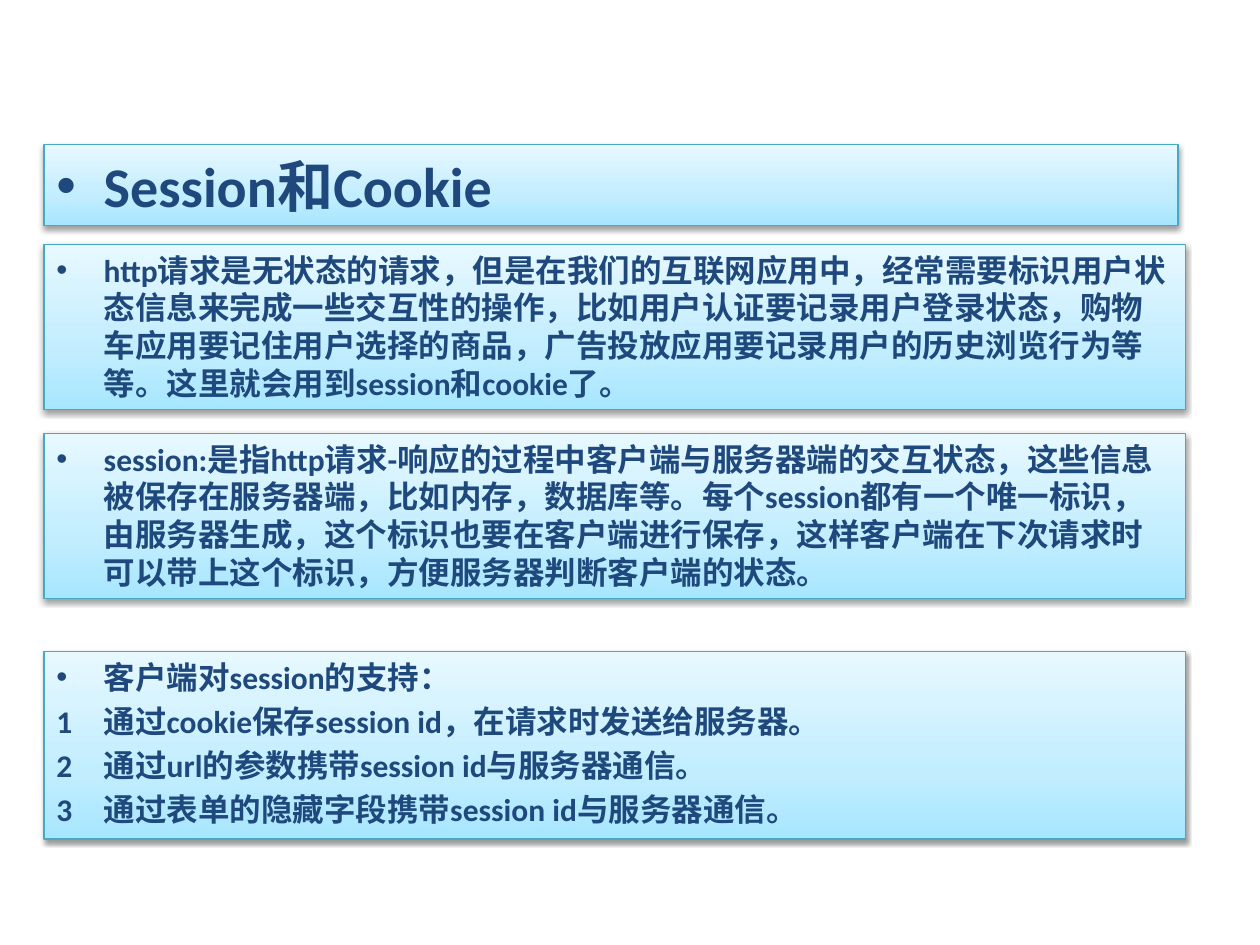
from dataclasses import dataclass

from pptx import Presentation
from pptx.dml.color import RGBColor
from pptx.enum.shapes import MSO_SHAPE
from pptx.enum.text import MSO_ANCHOR, MSO_AUTO_SIZE, PP_ALIGN
from pptx.oxml import parse_xml
from pptx.oxml.ns import nsdecls, qn
from pptx.slide import Slide
from pptx.util import Inches, Pt

RECTANGLE = MSO_SHAPE.RECTANGLE
TOP, LEFT = MSO_ANCHOR.TOP, PP_ALIGN.LEFT
FIT_SHAPE = MSO_AUTO_SIZE.SHAPE_TO_FIT_TEXT


@dataclass(frozen=True)
class Theme:
    font: str = "Calibri"
    text: str = "1F497D"
    line: str = "46AAC5"
    shadow: str = "000000"
    gradient: tuple = ((0, "A7E6FF"), (35, "C1EDFF"), (100, "E7F8FF"))
    title_size: int = 32
    body_size: int = 18


THEME = Theme()
PAGE_WIDTH, PAGE_HEIGHT = Inches(10), Inches(7.5)
MARGIN = Inches(0.35)
INDENT = Inches(0.375)
TITLE_WIDTH, BODY_WIDTH = 9, 9.06


@dataclass(frozen=True)
class Panel:
    """A box whose first line is bulleted; top, width and height in inches."""
    top: float
    height: float
    lines: tuple
    width: float = BODY_WIDTH
    size: int = THEME.body_size


PANELS = (
    Panel(1.15, 0.64, ("Session和Cookie",), TITLE_WIDTH, THEME.title_size),
    Panel(1.94, 1.31, (
        "http请求是无状态的请求，但是在我们的互联网应用中，经常需要标识用户"
        "状态信息来完成一些交互性的操作，比如用户认证要记录用户登录状态，购"
        "物车应用要记住用户选择的商品，广告投放应用要记录用户的历史浏览行为"
        "等等。这里就会用到session和cookie了。",)),
    Panel(3.44, 1.31, (
        "session:是指http请求-响应的过程中客户端与服务器端的交互状态，这些信"
        "息被保存在服务器端，比如内存，数据库等。每个session都有一个唯一标"
        "识，由服务器生成，这个标识也要在客户端进行保存，这样客户端在下次请"
        "求时可以带上这个标识，方便服务器判断客户端的状态。",)),
    Panel(5.17, 1.49, (
        "客户端对session的支持：",
        "1\t通过cookie保存session id，在请求时发送给服务器。",
        "2\t通过url的参数携带session id与服务器通信。",
        "3\t通过表单的隐藏字段携带session id与服务器通信。")),
)


def style_box(box) -> None:
    """Upward gradient, thin outline and soft shadow below."""
    stops = "".join(
        f'<a:gs pos="{share * 1000}"><a:srgbClr val="{color}"/></a:gs>'
        for share, color in THEME.gradient)
    gradient = parse_xml(
        f'<a:gradFill {nsdecls("a")} rotWithShape="1"><a:gsLst>{stops}</a:gsLst>'
        '<a:lin ang="16200000" scaled="1"/></a:gradFill>')
    properties = box._element.spPr
    properties.find(qn("a:prstGeom")).addnext(gradient)
    box.line.color.rgb = RGBColor.from_string(THEME.line)
    box.line.width = Pt(0.75)
    box.shadow.inherit = False
    properties.find(qn("a:effectLst")).append(parse_xml(
        f'<a:outerShdw {nsdecls("a")} blurRad="{Pt(3.1)}" dist="{Pt(1.6)}" '
        f'dir="5400000" rotWithShape="0"><a:srgbClr val="{THEME.shadow}">'
        '<a:alpha val="38000"/></a:srgbClr></a:outerShdw>'))


def format_paragraph(para, size: int, bulleted: bool) -> None:
    """Hanging indent, proportional space above and an optional bullet."""
    para.alignment = LEFT
    properties = para._p.get_or_add_pPr()
    properties.set("marL", str(INDENT))
    properties.set("indent", str(-INDENT))
    parts = ['<a:spcBef {}><a:spcPct val="20000"/></a:spcBef>']
    if bulleted:
        parts += ['<a:buFont {} typeface="Arial"/>', '<a:buChar {} char="•"/>']
    else:
        parts.append("<a:buNone {}/>")
    for part in parts:
        properties.append(parse_xml(part.format(nsdecls("a"))))
    for span in para.runs:
        span.font.name = THEME.font
        span.font.size = Pt(size)
        span.font.bold = True
        span.font.color.rgb = RGBColor.from_string(THEME.text)


def draw_panel(page: Slide, panel: Panel) -> None:
    box = page.shapes.add_shape(RECTANGLE, MARGIN, Inches(panel.top),
                                Inches(panel.width), Inches(panel.height))
    style_box(box)
    frame = box.text_frame
    frame.text = "\n".join(panel.lines)
    frame.word_wrap = True
    frame.auto_size = FIT_SHAPE
    frame.vertical_anchor = TOP
    for index, para in enumerate(frame.paragraphs):
        format_paragraph(para, panel.size, bulleted=index == 0)


def main() -> None:
    deck = Presentation()
    deck.slide_width, deck.slide_height = PAGE_WIDTH, PAGE_HEIGHT
    page = deck.slides.add_slide(deck.slide_layouts[6])
    for panel in PANELS:
        draw_panel(page, panel)
    deck.save("out.pptx")


if __name__ == "__main__":
    main()
